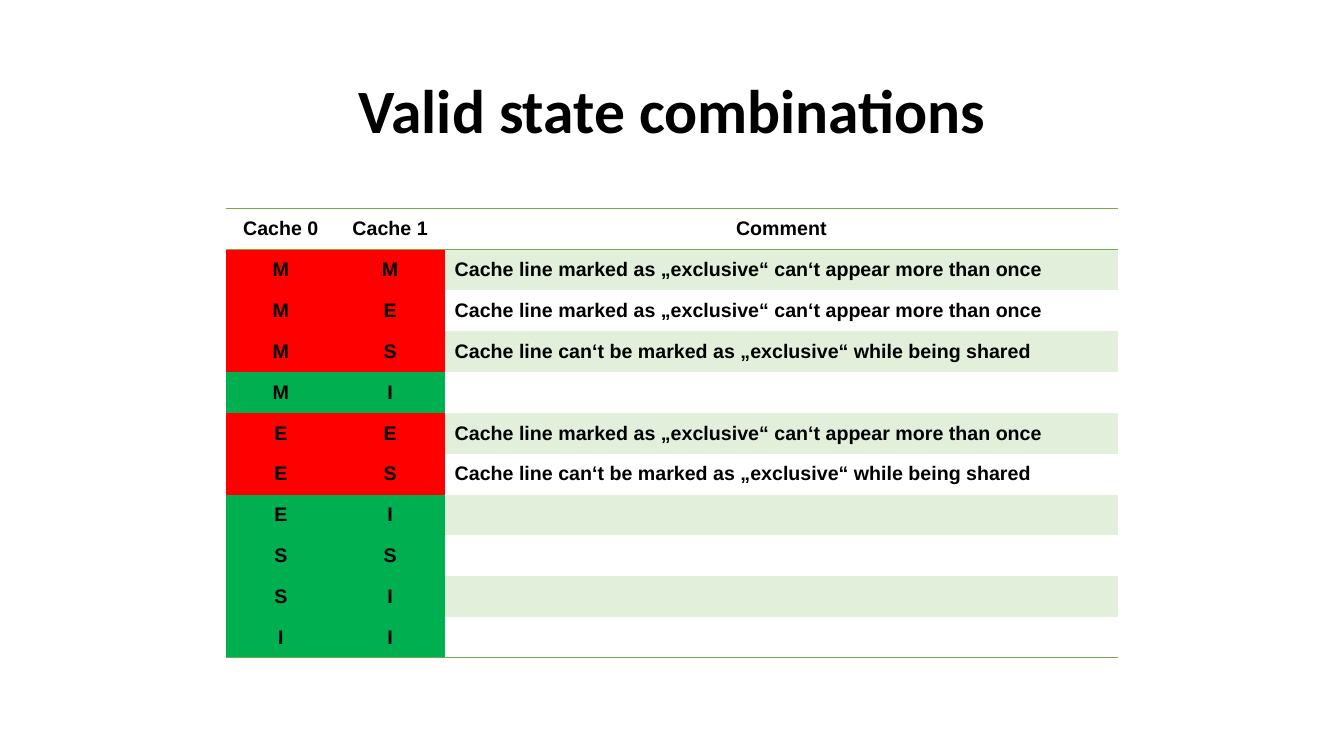
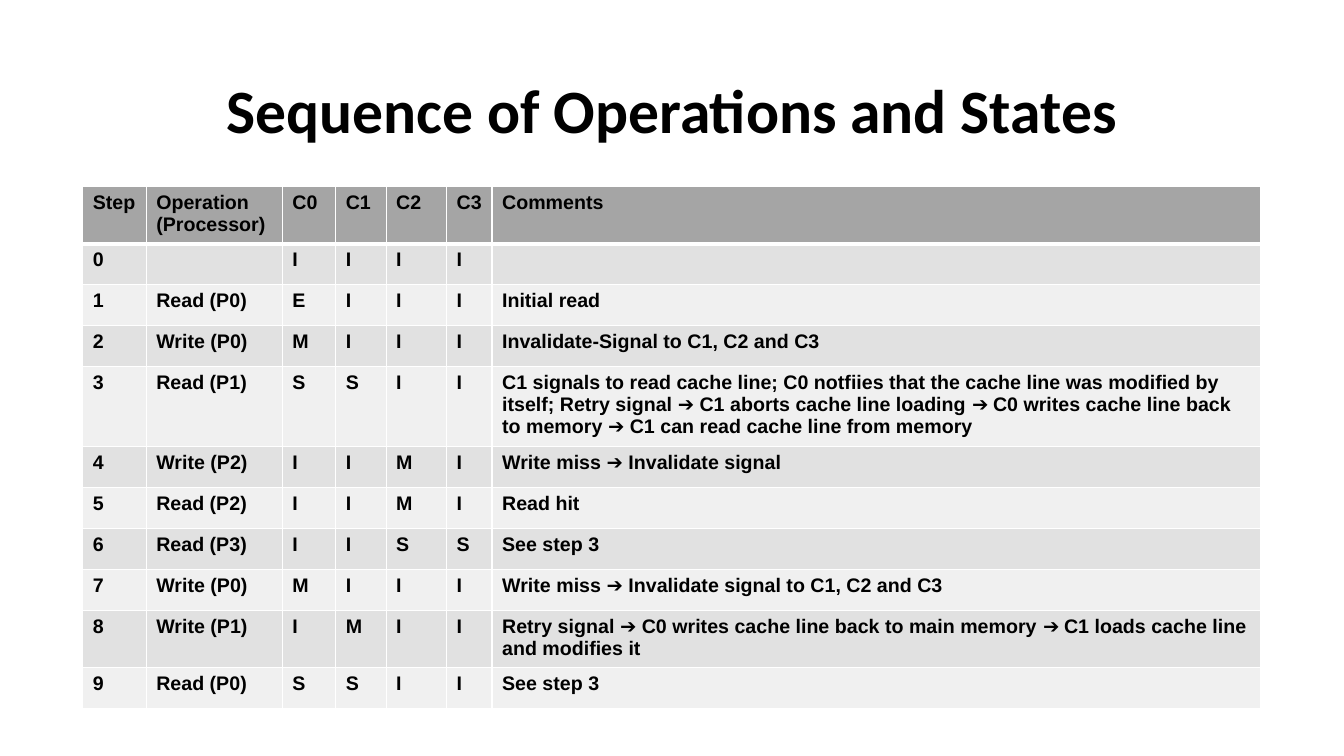
from lxml import etree
from pptx import Presentation
from pptx.dml.color import RGBColor
from pptx.enum import text
from pptx.oxml import ns
from pptx.util import Inches, Pt

COLORS = {
    "text": "000000", "line": "70AD47", "band": "E2EFDA",
    "invalid": "FF0000", "valid": "00B050",
    "head": "A5A5A5", "dark": "E1E1E1", "light": "F0F0F0", "grid": "FFFFFF",
}
TITLE_FONT, TABLE_FONT = "Calibri", "Arial"
NO_STYLE = "{2D5ABB26-0587-4C30-8999-92F81FD0307C}"
ROW_HEIGHT = 4.46 / 11

TWICE = "Cache line marked as „exclusive“ can‘t appear more than once"
SHARED = "Cache line can‘t be marked as „exclusive“ while being shared"

# A pair of states is valid when no comment objects to it.
STATES = [
    ("Cache 0", "Cache 1", "Comment"),
    ("M", "M", TWICE),
    ("M", "E", TWICE),
    ("M", "S", SHARED),
    ("M", "I", ""),
    ("E", "E", TWICE),
    ("E", "S", SHARED),
    ("E", "I", ""),
    ("S", "S", ""),
    ("S", "I", ""),
    ("I", "I", ""),
]
STATE_WIDTHS = [1.09, 1.08, 6.68]

# Operation, states of caches C0 to C3, comment; the step is the row's position.
OPERATIONS = [
    ("", "IIII", ""),
    ("Read (P0)", "EIII", "Initial read"),
    ("Write (P0)", "MIII", "Invalidate-Signal to C1, C2 and C3"),
    ("Read (P1)", "SSII",
     "C1 signals to read cache line; C0 notfiies that the cache line was modified "
     "by itself; Retry signal ➔ C1 aborts cache line loading ➔ C0 writes cache line "
     "back to memory ➔ C1 can read cache line from memory"),
    ("Write (P2)", "IIMI", "Write miss ➔ Invalidate signal"),
    ("Read (P2)", "IIMI", "Read hit"),
    ("Read (P3)", "IISS", "See step 3"),
    ("Write (P0)", "MIII", "Write miss ➔ Invalidate signal to C1, C2 and C3"),
    ("Write (P1)", "IMII",
     "Retry signal ➔ C0 writes cache line back to main memory ➔ C1 loads cache line "
     "and modifies it"),
    ("Read (P0)", "SSII", "See step 3"),
]
OPERATION_HEAD = ("Step", "Operation (Processor)", "C0", "C1", "C2", "C3", "Comments")
OPERATION_WIDTHS = [0.63, 1.35, 0.53, 0.5, 0.6, 0.45, 7.62]


def style_text(paragraph, font, size):
    """Make every run of a paragraph bold in the given font and size."""
    for span in paragraph.runs:
        span.font.name, span.font.size, span.font.bold = font, Pt(size), True
        span.font.color.rgb = RGBColor.from_string(COLORS["text"])


def add_page(deck, title):
    """Add a slide with the shared centred title."""
    page = deck.slides.add_slide(deck.slide_layouts[6])
    box = page.shapes.add_textbox(Inches(0.92), Inches(0.4), Inches(11.5), Inches(1.45))
    frame = box.text_frame
    frame.word_wrap = True
    frame.vertical_anchor = text.MSO_ANCHOR.MIDDLE
    frame.text = title
    paragraph = frame.paragraphs[0]
    paragraph.alignment = text.PP_ALIGN.CENTER
    paragraph.line_spacing = 0.9
    style_text(paragraph, TITLE_FONT, 44)
    return page


def set_borders(cell, color, widths):
    """Draw cell edges; widths maps L, R, T, B to points, in that order."""
    properties = cell._tc.get_or_add_tcPr()
    for side, width in widths.items():
        line = etree.SubElement(properties, ns.qn("a:ln" + side), w=str(Pt(width)))
        fill = etree.SubElement(line, ns.qn("a:solidFill"))
        etree.SubElement(fill, ns.qn("a:srgbClr"), val=COLORS[color])


def add_table(page, left, top, widths, rows, decorate):
    """Add a table; decorate(cell, row, column) sets borders and returns a fill."""
    frame = page.shapes.add_table(
        len(rows), len(widths), Inches(left), Inches(top),
        Inches(sum(widths)), Inches(ROW_HEIGHT * len(rows)))
    table = frame.table
    table._tbl.tblPr.find(ns.qn("a:tableStyleId")).text = NO_STYLE
    table.first_row = table.horz_banding = False
    for column, width in zip(table.columns, widths):
        column.width = Inches(width)
    for r, values in enumerate(rows):
        table.rows[r].height = Inches(ROW_HEIGHT)
        for c, value in enumerate(values):
            cell = table.cell(r, c)
            cell.text = value
            style_text(cell.text_frame.paragraphs[0], TABLE_FONT, 14)
            color = decorate(cell, r, c)
            if color:
                cell.fill.solid()
                cell.fill.fore_color.rgb = RGBColor.from_string(COLORS[color])
            else:
                cell.fill.background()


def decorate_state(cell, row, column):
    """Style a state cell: verdict colours, banded comments, ruled ends."""
    cell.vertical_anchor = text.MSO_ANCHOR.MIDDLE
    if row == 0 or column < 2:
        cell.text_frame.paragraphs[0].alignment = text.PP_ALIGN.CENTER
    if row == 0:
        set_borders(cell, "line", {"T": 1, "B": 1})
        return None
    if row == len(STATES) - 1:
        set_borders(cell, "line", {"B": 1})
    if column < 2:
        return "invalid" if STATES[row][2] else "valid"
    return "band" if row % 2 else None


def decorate_operation(cell, row, column):
    """Style an operation cell: white grid, dark head, banded rows."""
    set_borders(cell, "grid", {"L": 1, "R": 1, "T": 3 if row == 1 else 1,
                               "B": 3 if row == 0 else 1})
    if row == 0:
        return "head"
    return "dark" if row % 2 else "light"


deck = Presentation()
deck.slide_width, deck.slide_height = Inches(13.33), Inches(7.5)

states_page = add_page(deck, "Valid state combinations")
add_table(states_page, 2.24, 2.07, STATE_WIDTHS, STATES, decorate_state)

operations_page = add_page(deck, "Sequence of Operations and States")
operation_rows = [OPERATION_HEAD] + [
    (str(step), operation, *caches, comment)
    for step, (operation, caches, comment) in enumerate(OPERATIONS)]
add_table(operations_page, 0.82, 1.85, OPERATION_WIDTHS, operation_rows, decorate_operation)

deck.save("out.pptx")
